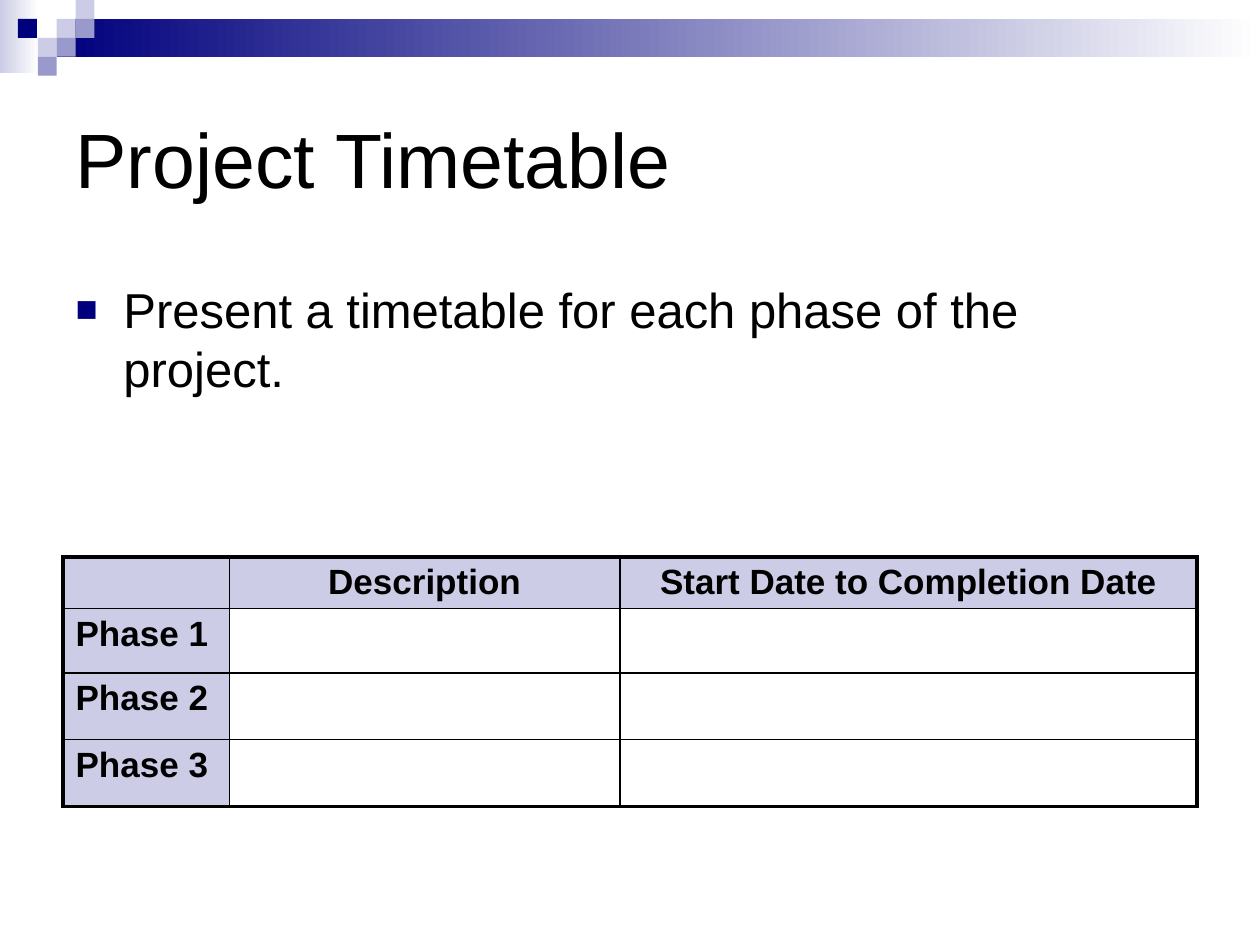
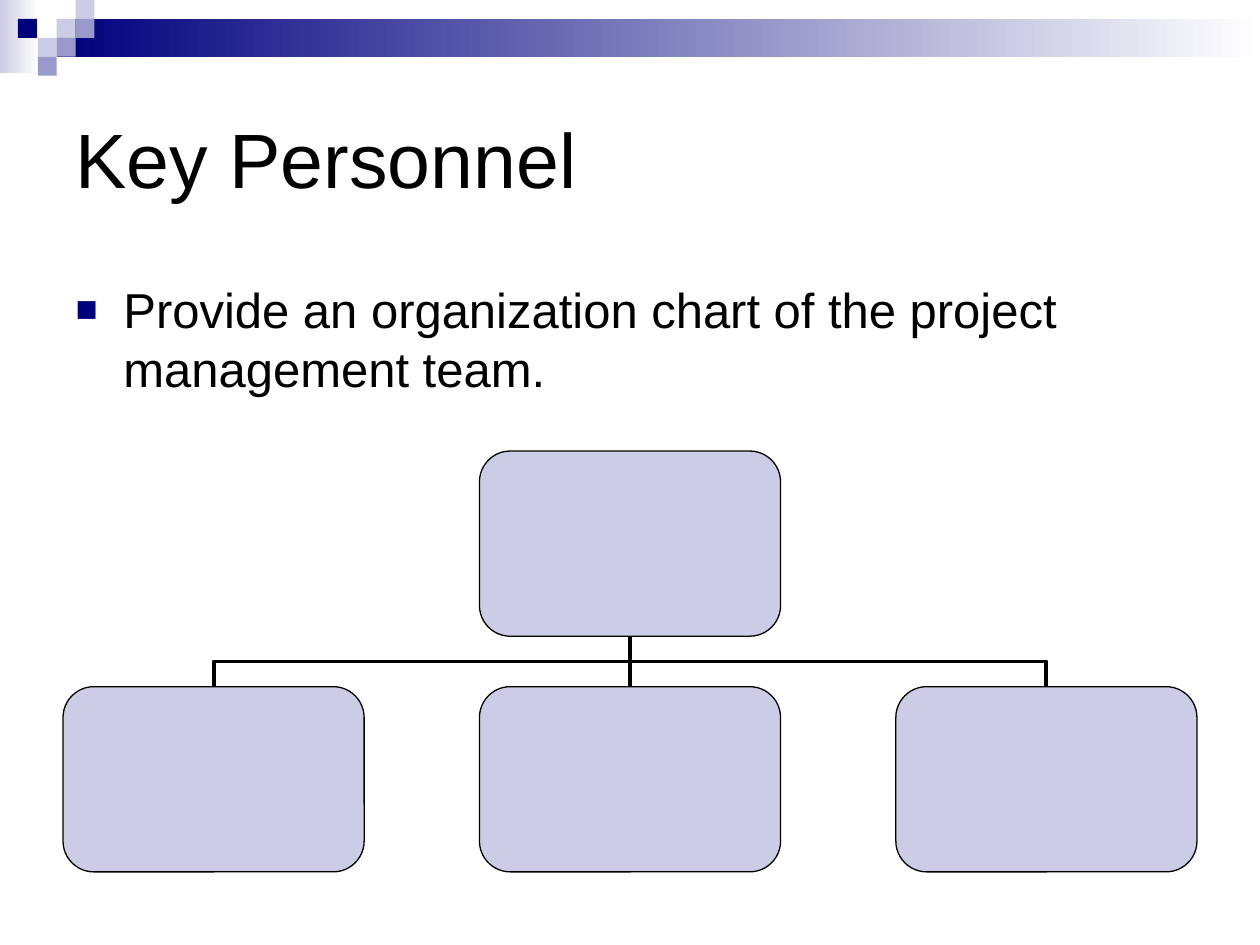
"""Build a project timetable slide and a key personnel slide in one shared style."""
from lxml.etree import SubElement
from pptx import Presentation
from pptx.dml.color import RGBColor
from pptx.enum.shapes import MSO_CONNECTOR, MSO_SHAPE
from pptx.enum.text import MSO_ANCHOR, MSO_AUTO_SIZE, PP_ALIGN
from pptx.oxml.ns import qn
from pptx.util import Inches, Pt

THEME = {
    "font": "Arial",
    "text": "000000",
    "navy": "00007D",
    "lavender": "CCCCE6",
    "violet": "9999CC",
    "white": "FFFFFF",
    "title_size": 44,
    "body_size": 28,
    "table_size": 20,
    "thin": 0.75,
    "inner": 1,
    "thick": 2.25,
}
TITLE_BOX = (0.5, 0.5, 9, 1.5)
BODY_BOX = (0.5, 2.17, 9, 2.04)
MARGIN = 0.5
CONTENT_WIDTH = 9
TILE = 0.15

BANDS = [((0, 0, 0.31, 0.58), "lavender"), ((0.45, 0.15, 9.55, 0.3), "navy")]
TILES = [
    (3, 1, "lavender"),
    (4, 0, "lavender"),
    (4, 1, "violet"),
    (2, 2, "lavender"),
    (0.95, 1, "navy"),
    (3, 2, "violet"),
    (2, 3, "violet"),
]

TIMETABLE = {
    "title": "Project Timetable",
    "body": "Present a timetable for each phase of the project.",
    "top": 4.42,
    "columns": [1.32, 3.1, 4.58],
    "heights": [0.41, 0.51, 0.53, 0.53],
    "rows": [
        ["", "Description", "Start Date to Completion Date"],
        ["Phase 1", "", ""],
        ["Phase 2", "", ""],
        ["Phase 3", "", ""],
    ],
}
PERSONNEL = {
    "title": "Key Personnel",
    "body": "Provide an organization chart of the project management team.",
    "box": (2.39, 1.47),
    "lead_top": 3.58,
    "team_top": 5.45,
    "team_count": 3,
}


def color(name):
    return RGBColor.from_string(THEME[name])


def inches(values):
    return [Inches(value) for value in values]


def place(shape, box):
    for name, value in zip(("left", "top", "width", "height"), inches(box)):
        setattr(shape, name, value)


def format_text(paragraph, size, bold=False, **layout):
    for name, value in {"name": THEME["font"], "size": Pt(THEME[size]), "bold": bold}.items():
        setattr(paragraph.font, name, value)
    paragraph.font.color.rgb = color("text")
    for name, value in layout.items():
        setattr(paragraph, name, value)


def add_box(slide, kind, box, fill, line=None, fade=False):
    shape = slide.shapes.add_shape(kind, *inches(box))
    shape.shadow.inherit = False
    if fade:
        shape.fill.gradient()
        shape.fill.gradient_angle = 0
        for stop, name in zip(shape.fill.gradient_stops, (fill, "white")):
            stop.color.rgb = color(name)
    else:
        shape.fill.solid()
        shape.fill.fore_color.rgb = color(fill)
    if line:
        shape.line.color.rgb = color("text")
        shape.line.width = Pt(THEME[line])
    else:
        shape.line.fill.background()
    return shape


def decorate_layout(layout, slide):
    for placeholder, box in zip(layout.placeholders, (TITLE_BOX, BODY_BOX)):
        place(placeholder, box)
    shapes = [add_box(slide, MSO_SHAPE.RECTANGLE, box, fill, fade=True) for box, fill in BANDS]
    for column, row, fill in TILES:
        box = (column * TILE, row * TILE, TILE, TILE)
        shapes.append(add_box(slide, MSO_SHAPE.RECTANGLE, box, fill))
    for position, shape in enumerate(shapes, start=2):
        layout.shapes.element.insert(position, shape.element)


def add_bullet(paragraph):
    properties = paragraph._p.get_or_add_pPr()
    properties.set("marL", str(Inches(0.38)))
    properties.set("indent", str(-Inches(0.38)))
    bullet_color = SubElement(properties, qn("a:buClr"))
    SubElement(bullet_color, qn("a:srgbClr"), val=THEME["navy"])
    SubElement(properties, qn("a:buSzPct"), val="75000")
    SubElement(properties, qn("a:buFont"), typeface=THEME["font"])
    SubElement(properties, qn("a:buChar"), char="■")


def fill_placeholders(slide, content):
    title, body = slide.shapes.title, slide.placeholders[1]
    for shape, key, anchor in ((title, "title", MSO_ANCHOR.MIDDLE), (body, "body", MSO_ANCHOR.TOP)):
        frame = shape.text_frame
        frame.text = content[key]
        frame.auto_size = MSO_AUTO_SIZE.NONE
        frame.vertical_anchor = anchor
        format_text(frame.paragraphs[0], f"{key}_size", alignment=PP_ALIGN.LEFT)
    add_bullet(body.text_frame.paragraphs[0])


def set_borders(cell, outer_sides):
    properties = cell._tc.get_or_add_tcPr()
    for side, is_outer in outer_sides.items():
        width = Pt(THEME["thick" if is_outer else "inner"])
        line = SubElement(properties, qn(f"a:ln{side}"), w=str(width))
        fill = SubElement(line, qn("a:solidFill"))
        SubElement(fill, qn("a:srgbClr"), val=THEME["text"])


def add_timetable(slide, content):
    rows, columns, heights = content["rows"], content["columns"], content["heights"]
    box = inches((MARGIN, content["top"], sum(columns), sum(heights)))
    table = slide.shapes.add_table(len(rows), len(columns), *box).table
    table.first_row = table.horz_banding = False
    for column, width in zip(table.columns, columns):
        column.width = Inches(width)
    for row, height in zip(table.rows, heights):
        row.height = Inches(height)
    last_row, last_column = len(rows) - 1, len(columns) - 1
    for r, texts in enumerate(rows):
        for c, text in enumerate(texts):
            cell = table.cell(r, c)
            set_borders(cell, {"L": c == 0, "R": c == last_column, "T": r == 0, "B": r == last_row})
            if r == 0 or c == 0:
                cell.fill.solid()
                cell.fill.fore_color.rgb = color("lavender")
            else:
                cell.fill.background()
            cell.text = text
            alignment = PP_ALIGN.CENTER if r == 0 else PP_ALIGN.LEFT
            format_text(cell.text_frame.paragraphs[0], "table_size", bold=bool(text),
                        alignment=alignment, space_before=Pt(4))


def connect(slide, member, lead):
    run = lead.left - member.left
    kind = MSO_CONNECTOR.ELBOW if run else MSO_CONNECTOR.STRAIGHT
    connector = slide.shapes.add_connector(kind, 0, 0, 0, 0)
    connector.begin_connect(member, 0)
    connector.end_connect(lead, 2)
    connector.line.color.rgb = color("text")
    connector.line.width = Pt(THEME["thick"])
    properties = connector.element.spPr
    SubElement(properties, qn("a:effectLst"))
    if run:
        rise = member.top - lead.top - lead.height
        middle_x = (member.left + lead.left + lead.width) // 2
        middle_y = member.top - rise // 2
        connector.width, connector.height = rise, abs(run)
        connector.left, connector.top = middle_x - rise // 2, middle_y - abs(run) // 2
        turn = {"rot": "16200000", "flipH": "0"} if run > 0 else {"rot": "5400000", "flipH": "1"}
        for name, value in {**turn, "flipV": "0"}.items():
            properties.find(qn("a:xfrm")).set(name, value)


def add_organization_chart(slide, content):
    width, height = content["box"]
    step = (CONTENT_WIDTH - width) / (content["team_count"] - 1)
    lead_left = MARGIN + (CONTENT_WIDTH - width) / 2
    spots = [(lead_left, content["lead_top"])]
    spots += [(MARGIN + i * step, content["team_top"]) for i in range(content["team_count"])]
    lead, *team = [
        add_box(slide, MSO_SHAPE.ROUNDED_RECTANGLE, (left, top, width, height), "lavender", "thin")
        for left, top in spots
    ]
    for member in team:
        connect(slide, member, lead)


def main():
    presentation = Presentation()
    presentation.slide_width, presentation.slide_height = inches((10, 7.5))
    layout = presentation.slide_layouts[1]
    pages = [(TIMETABLE, add_timetable), (PERSONNEL, add_organization_chart)]
    for number, (content, draw) in enumerate(pages):
        slide = presentation.slides.add_slide(layout)
        if number == 0:
            decorate_layout(layout, slide)
        fill_placeholders(slide, content)
        draw(slide, content)
    presentation.save("out.pptx")


main()
